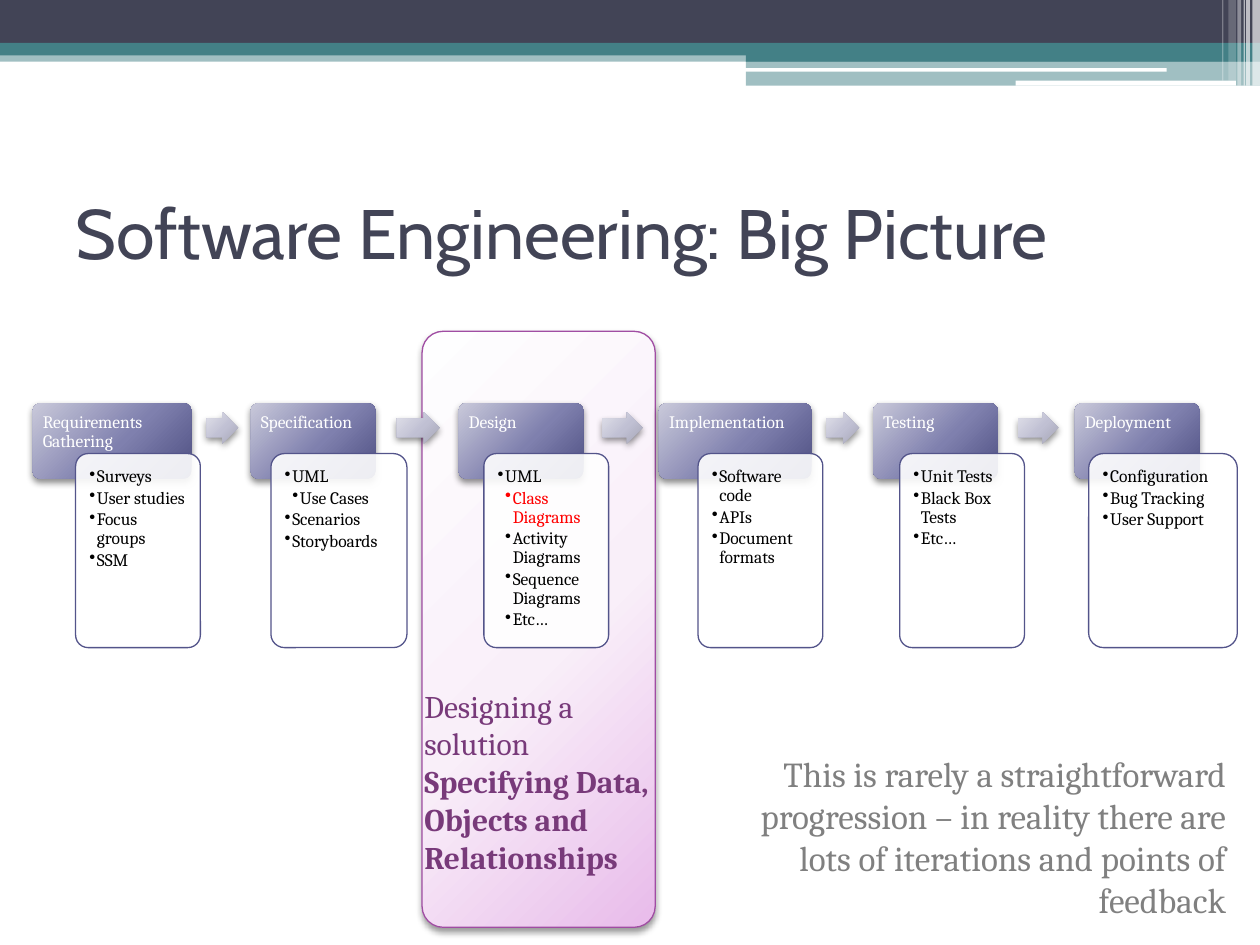
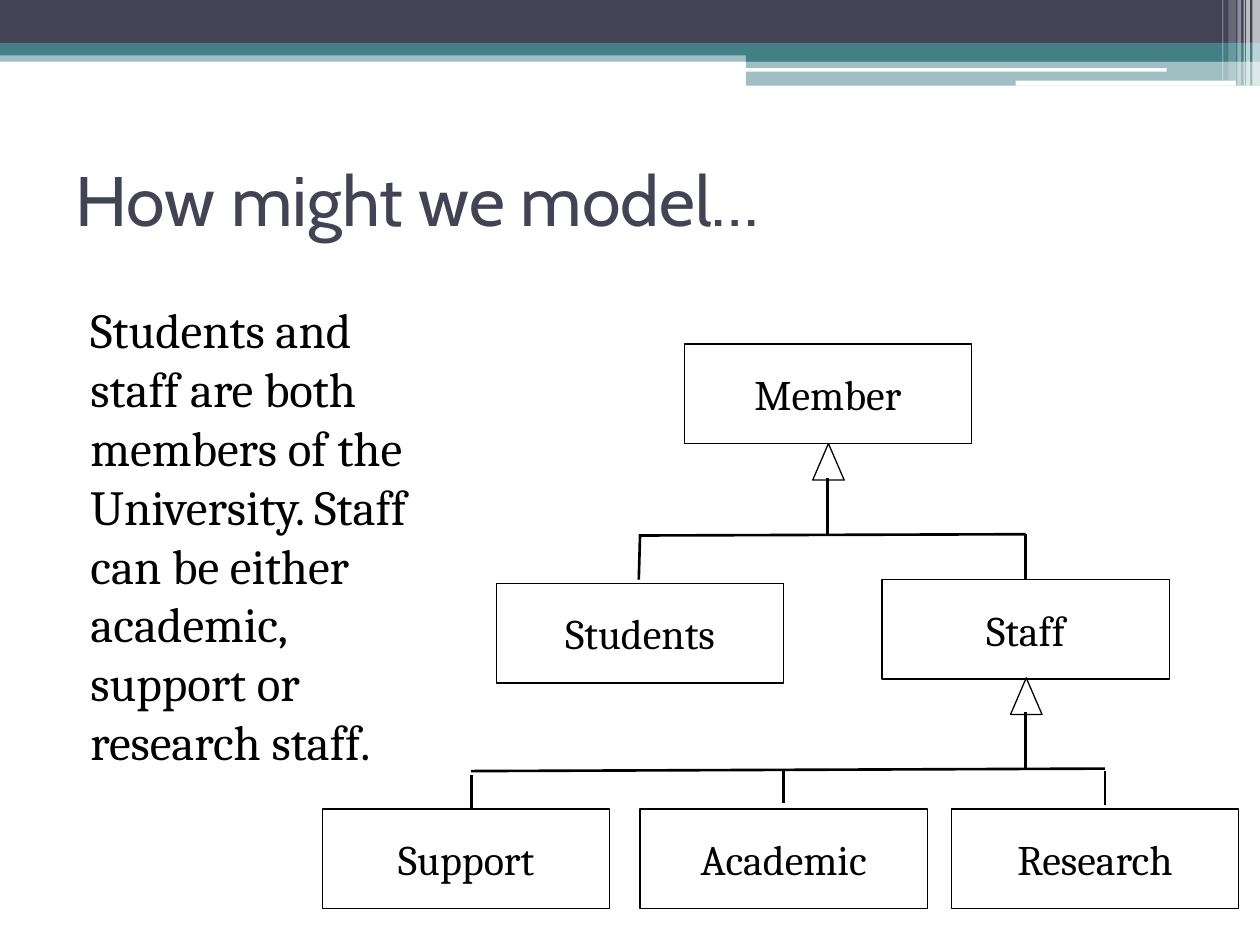
import pptx
import pptx.dml.color
import pptx.enum.shapes
import pptx.enum.text
import pptx.oxml
import pptx.oxml.ns
import pptx.util
from lxml import etree

Inches, Pt = pptx.util.Inches, pptx.util.Pt
qn = pptx.oxml.ns.qn
SHAPE = pptx.enum.shapes.MSO_SHAPE
ALIGN = pptx.enum.text.PP_ALIGN
ANCHOR = pptx.enum.text.MSO_ANCHOR

NAVY, TEAL, WHITE, BLACK, RED = "424456", "438086", "FFFFFF", "000000", "FF0000"
INDIGO, GREY, PURPLE, MAGENTA = "53548A", "808080", "783A7A", "A04DA3"
HEAD_GRADIENT = ("C9C9DA", "7F80AE", "4D4E81")
ARROW_GRADIENT = ("E1E1EA", "C0C0D3", "A7A7B7")
FOCUS_GRADIENT = ("FEFEFF", "F9EFF9", "E8BBEA")

# left, top, width, height, colour, opacity
BANDS = [
    (0, 0.4, 10, 0.09, TEAL, 50),
    (0, 0, 10, 0.34, NAVY, 100),
    (0, 0.34, 10, 0.1, TEAL, 100),
    (5.92, 0.39, 4.08, 0.1, TEAL, 100),
    (5.92, 0.48, 4.08, 0.2, TEAL, 50),
    (5.91, 0.54, 3.35, 0.03, WHITE, 100),
    (8.06, 0.64, 1.75, 0.04, WHITE, 100),
    (9.94, 0, 0.06, 0.68, WHITE, 65),
    (9.89, 0, 0.03, 0.68, WHITE, 65),
    (9.87, 0, 0.01, 0.68, WHITE, 60),
    (9.82, 0, 0.03, 0.68, WHITE, 40),
    (9.75, 0, 0.06, 0.64, WHITE, 20),
    (9.7, 0, 0.01, 0.64, WHITE, 30),
]

# heading, (left, width) of heading, card and next arrow, (item, level, colour)
STAGES = [
    ("Requirements Gathering", (0.26, 1.26), (0.6, 0.99), (1.64, 0.25),
     [("Surveys", 1, BLACK), ("User studies", 1, BLACK),
      ("Focus groups", 1, BLACK), ("SSM", 1, BLACK)]),
    ("Specification", (1.99, 0.99), (2.15, 1.08), (3.15, 0.34),
     [("UML", 1, BLACK), ("Use Cases", 2, BLACK),
      ("Scenarios", 1, BLACK), ("Storyboards", 1, BLACK)]),
    ("Design", (3.64, 0.99), (3.84, 0.99), (4.78, 0.32),
     [("UML", 1, BLACK), ("Class Diagrams", 2, RED),
      ("Activity Diagrams", 2, BLACK), ("Sequence Diagrams", 2, BLACK),
      ("Etc…", 2, BLACK)]),
    ("Implementation", (5.23, 1.21), (5.54, 0.99), (6.56, 0.26),
     [("Software code", 1, BLACK), ("APIs", 1, BLACK),
      ("Document formats", 1, BLACK)]),
    ("Testing", (6.93, 0.99), (7.14, 0.99), (8.08, 0.32),
     [("Unit Tests", 1, BLACK), ("Black Box Tests", 1, BLACK),
      ("Etc…", 1, BLACK)]),
    ("Deployment", (8.53, 0.99), (8.64, 1.18), None,
     [("Configuration", 1, BLACK), ("Bug Tracking", 1, BLACK),
      ("User Support", 1, BLACK)]),
]
REMARK = ("This is rarely a straightforward progression – in reality there are "
          "lots of iterations and points of feedback")
STATEMENT = ("Students and staff are both members of the University. "
             "Staff can be either academic, support or research staff.")

CLASSES = [
    ("Students", 3.94, 4.63), ("Member", 5.43, 2.73), ("Staff", 7, 4.6),
    ("Research", 7.55, 6.42), ("Academic", 5.08, 6.42), ("Support", 2.56, 6.42),
]
CLASS_W, CLASS_H = 2.28, 0.79
# centre and bottom of the parent class
PARENTS = [(6.57, 3.52), (8.14, 5.38)]
BRANCHES = [
    (5.08, 4.25, 8.14, 4.24), (5.08, 4.24, 5.07, 4.6), (8.14, 4.24, 8.14, 4.6),
    (3.74, 6.12, 8.77, 6.1), (3.74, 6.15, 3.74, 6.42),
    (6.22, 6.1, 6.22, 6.37), (8.77, 6.12, 8.77, 6.39),
]


def rgb(color):
    """Turn a hex string into a colour."""
    return pptx.dml.color.RGBColor.from_string(color)


def add_alpha(color_element, percent):
    """Make a colour element partly transparent."""
    etree.SubElement(color_element, qn("a:alpha"), val=str(percent * 1000))


def set_gradient(sp, colors):
    """Fill a shape with a circular gradient of three colours."""
    stops = "".join(f'<a:gs pos="{pos}"><a:srgbClr val="{color}"/></a:gs>'
                    for pos, color in zip((0, 55000, 100000), colors))
    fill = pptx.oxml.parse_xml(
        f'<a:gradFill {pptx.oxml.ns.nsdecls("a")} rotWithShape="1">'
        f'<a:gsLst>{stops}</a:gsLst><a:path path="circle">'
        '<a:fillToRect l="-40000" t="-90000" r="140000" b="190000"/>'
        '</a:path></a:gradFill>')
    spPr = sp._element.spPr
    spPr.replace(spPr.find(qn("a:noFill")), fill)


def add_shadow(sp, opacity):
    """Give a shape a soft shadow below it."""
    effects = sp._element.spPr.find(qn("a:effectLst"))
    shadow = etree.SubElement(effects, qn("a:outerShdw"), blurRad=str(Pt(4)),
                              dist=str(Pt(2)), dir="5400000", rotWithShape="0")
    add_alpha(etree.SubElement(shadow, qn("a:srgbClr"), val=BLACK), opacity)


def add_box(s, kind, x, y, w, h, fill=None, opacity=100, gradient=None,
            line=None, adjust=(), shadow=None):
    """Add a preset shape with its fill, line and shadow."""
    sp = s.shapes.add_shape(kind, Inches(x), Inches(y), Inches(w), Inches(h))
    sp.shadow.inherit = False
    for i, value in enumerate(adjust):
        sp.adjustments[i] = value
    if fill:
        sp.fill.solid()
        sp.fill.fore_color.rgb = rgb(fill)
        if opacity < 100:
            add_alpha(sp._element.spPr.find(".//" + qn("a:srgbClr")), opacity)
    else:
        sp.fill.background()
    if gradient:
        set_gradient(sp, gradient)
    if line:
        sp.line.color.rgb = rgb(line)
        sp.line.width = Pt(0.75)
    else:
        sp.line.fill.background()
    if shadow:
        add_shadow(sp, shadow)
    return sp


def add_line(s, x1, y1, x2, y2):
    """Add a black straight line."""
    line = s.shapes.add_connector(pptx.enum.shapes.MSO_CONNECTOR.STRAIGHT,
                                  *map(Inches, (x1, y1, x2, y2)))
    line.line.color.rgb = rgb(BLACK)
    line.line.width = Pt(1.5)
    etree.SubElement(line._element.spPr, qn("a:effectLst"))


def add_frame(s, x, y, w, h, margins=(0.1, 0.05, 0.1, 0.05)):
    """Add a wrapping text box and return its text frame."""
    tf = s.shapes.add_textbox(*map(Inches, (x, y, w, h))).text_frame
    tf.word_wrap = True
    (tf.margin_left, tf.margin_top,
     tf.margin_right, tf.margin_bottom) = map(Inches, margins)
    return tf


def write(tf, text, size=10, color=BLACK, font="Cambria", bold=False,
          align=ALIGN.LEFT, spacing=None, after=None, level=0, indent=0,
          bullet=False):
    """Write one formatted paragraph, using the empty first one if free."""
    p = tf.paragraphs[0] if not tf.text else tf.add_paragraph()
    p.alignment, p.level = align, level
    if spacing:
        p.line_spacing = spacing
    if after:
        p.space_after = Pt(after)
    pPr = p._p.get_or_add_pPr()
    if indent:
        pPr.set("marL", str(Inches(indent)))
    if bullet:
        pPr.set("indent", str(Inches(-0.06)))
        etree.SubElement(pPr, qn("a:buChar"), char="•")
    r = p.add_run()
    r.text = text
    r.font.name, r.font.size, r.font.bold = font, Pt(size), bold
    r.font.color.rgb = rgb(color)


def add_slide(prs, title, top):
    """Add a slide with the shared bands and title style."""
    s = prs.slides.add_slide(prs.slide_layouts[5])
    for x, y, w, h, color, opacity in BANDS:
        add_box(s, SHAPE.RECTANGLE, x, y, w, h, fill=color, opacity=opacity)
    sp = s.shapes.title
    sp.left, sp.top, sp.width, sp.height = map(Inches, (0.5, top, 9, 1.17))
    tf = sp.text_frame
    tf.auto_size = pptx.enum.text.MSO_AUTO_SIZE.NONE
    tf.vertical_anchor = ANCHOR.MIDDLE
    write(tf, title, size=40, color=NAVY, font="Cabin")
    return s


def add_stage(s, heading, head, card, arrow, items):
    """Add one process stage: heading, card with bullets and next arrow."""
    x, w = head
    add_box(s, SHAPE.ROUNDED_RECTANGLE, x, 3.2, w, 0.6, gradient=HEAD_GRADIENT,
            adjust=(0.1,), shadow=45)
    tf = add_frame(s, x, 3.2, w, 0.4, margins=(0.08, 0.08, 0.08, 0.04))
    write(tf, heading, color=WHITE, spacing=0.9)
    x, w = card
    add_box(s, SHAPE.ROUNDED_RECTANGLE, x, 3.6, w, 1.54, fill=WHITE, opacity=90,
            line=INDIGO, adjust=(0.1,))
    tf = add_frame(s, x + 0.03, 3.63, w - 0.06, 1.48, margins=(0.08,) * 4)
    for item, level, color in items:
        write(tf, item, color=color, spacing=0.9, after=1.5, level=level,
              indent=0.06 * level, bullet=True)
    if arrow:
        x, w = arrow
        add_box(s, SHAPE.RIGHT_ARROW, x, 3.27, w, 0.25, gradient=ARROW_GRADIENT,
                adjust=(0.6, 0.5), shadow=45)


def build_process(prs):
    """Build the slide with the development stages."""
    s = add_slide(prs, "Software Engineering: Big Picture", 1.25)
    add_box(s, SHAPE.ROUNDED_RECTANGLE, 3.35, 2.63, 1.85, 4.73,
            gradient=FOCUS_GRADIENT, line=MAGENTA, adjust=(0.09,), shadow=40)
    for stage in STAGES:
        add_stage(s, *stage)
    write(add_frame(s, 5.63, 5.92, 4.2, 1.45), REMARK, size=20, color=GREY,
          align=ALIGN.RIGHT)
    tf = add_frame(s, 3.27, 5.4, 2.05, 1.92)
    write(tf, "Designing a solution", size=18, color=PURPLE)
    write(tf, "Specifying Data, Objects and Relationships", size=18,
          color=PURPLE, bold=True)


def build_model(prs):
    """Build the slide with the class hierarchy."""
    s = add_slide(prs, "How might we model…", 0.99)
    write(add_frame(s, 0.5, 2.33, 3.16, 4.73), STATEMENT, size=28, indent=0.12)
    for name, x, y in CLASSES:
        sp = add_box(s, SHAPE.RECTANGLE, x, y, CLASS_W, CLASS_H, line=BLACK)
        sp.text_frame.vertical_anchor = ANCHOR.MIDDLE
        write(sp.text_frame, name, size=24, align=ALIGN.CENTER)
    for branch in BRANCHES:
        add_line(s, *branch)
    for x, y in PARENTS:
        add_line(s, x, y + 0.27, x, y + 0.72)
        add_box(s, SHAPE.ISOSCELES_TRIANGLE, x - 0.12, y, 0.25, 0.29, line=BLACK)


def main():
    """Build and save the presentation."""
    prs = pptx.Presentation()
    prs.slide_width, prs.slide_height = Inches(10), Inches(7.5)
    build_process(prs)
    build_model(prs)
    prs.save("out.pptx")


if __name__ == "__main__":
    main()
